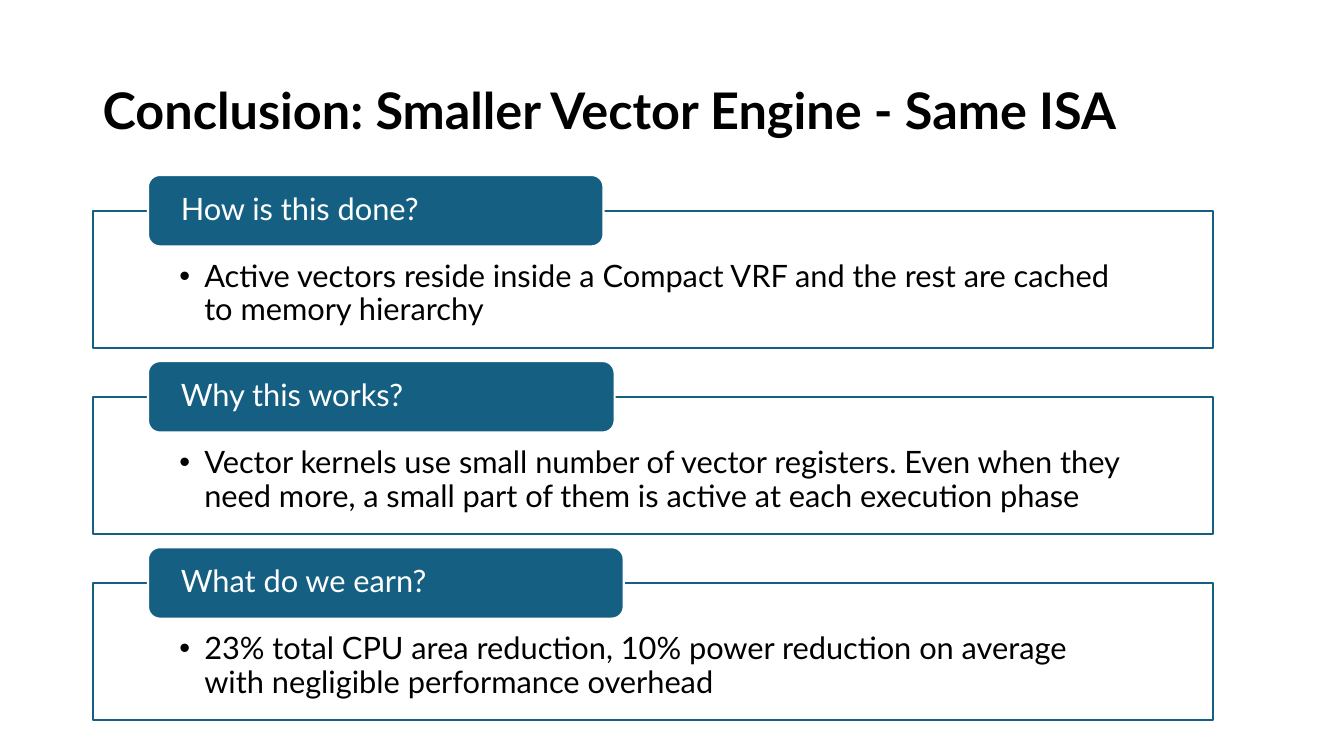
from lxml import etree
from pptx import Presentation
from pptx.dml.color import RGBColor
from pptx.enum.shapes import MSO_SHAPE as Preset
from pptx.enum.text import MSO_ANCHOR as Anchor, PP_ALIGN as Align
from pptx.oxml.ns import qn
from pptx.util import Cm, Pt

TITLE = "Conclusion: Smaller Vector Engine - Same ISA"
# question, answer, width of the question tab in cm
SECTIONS = [
    ("How is this done?",
     "Active vectors reside inside a Compact VRF and the rest are cached to memory hierarchy",
     11.48),
    ("Why this works?",
     "Vector kernels use small number of vector registers. Even when they need more, "
     "a small part of them is active at each execution phase",
     11.76),
    ("What do we earn?",
     "23% total CPU area reduction, 10% power reduction on average "
     "with negligible performance overhead",
     11.99),
]
FONT = "Lato"
TEAL, WHITE, BLACK = "156082", "FFFFFF", "000000"

# Layout in cm
LEFT = 2.34
PANEL_TOP, PANEL_WIDTH, PANEL_HEIGHT, PITCH = 5.31, 28.24, 3.45, 4.69
TAB_LEFT, TAB_HEIGHT, TAB_RISE = 3.73, 1.8, 0.9
BULLET_INDENT = 0.63


def color(hex_value):
    return RGBColor.from_string(hex_value)


def add_bullet(paragraph):
    properties = paragraph._p.get_or_add_pPr()
    properties.set("marL", str(Cm(BULLET_INDENT)))
    properties.set("indent", str(-Cm(BULLET_INDENT)))
    etree.SubElement(properties, qn("a:buFont")).set("typeface", "Arial")
    etree.SubElement(properties, qn("a:buChar")).set("char", "•")


def write(shape, text, size=22, ink=BLACK, bold=False, bullet=False,
          anchor=Anchor.MIDDLE, insets=(0.25, 0.13, 0.25, 0.13)):
    """Fill a shape with one paragraph; insets are left, top, right, bottom in cm."""
    frame = shape.text_frame
    frame.word_wrap = True
    frame.vertical_anchor = anchor
    (frame.margin_left, frame.margin_top,
     frame.margin_right, frame.margin_bottom) = map(Cm, insets)
    paragraph = frame.paragraphs[0]
    paragraph.alignment = Align.LEFT
    paragraph.line_spacing = 0.9
    if bullet:
        add_bullet(paragraph)
    run = paragraph.add_run()
    run.text = text
    run.font.name = FONT
    run.font.size = Pt(size)
    run.font.bold = bold
    run.font.color.rgb = color(ink)


def add_box(slide, preset, bounds, fill, line, opacity=100):
    box = slide.shapes.add_shape(preset, *map(Cm, bounds))
    box.shadow.inherit = False
    box.fill.solid()
    box.fill.fore_color.rgb = color(fill)
    box.line.color.rgb = color(line)
    box.line.width = Pt(1.5)
    if opacity < 100:
        fill_color = box._element.spPr.find(qn("a:solidFill")).find(qn("a:srgbClr"))
        etree.SubElement(fill_color, qn("a:alpha")).set("val", str(opacity * 1000))
    return box


def main():
    deck = Presentation()
    deck.slide_width, deck.slide_height = Cm(33.87), Cm(19.05)
    slide = deck.slides.add_slide(deck.slide_layouts[6])

    heading = slide.shapes.add_textbox(Cm(LEFT), Cm(1.01), Cm(29.21), Cm(3.68))
    write(heading, TITLE, size=36, bold=True)

    for index, (question, answer, tab_width) in enumerate(SECTIONS):
        top = PANEL_TOP + index * PITCH
        panel = add_box(slide, Preset.RECTANGLE,
                        (LEFT, top, PANEL_WIDTH, PANEL_HEIGHT), WHITE, TEAL, opacity=90)
        write(panel, answer, bullet=True, anchor=Anchor.TOP,
              insets=(2.18, 1.27, 2.18, 0.43))
        tab = add_box(slide, Preset.ROUNDED_RECTANGLE,
                      (TAB_LEFT, top - TAB_RISE, tab_width, TAB_HEIGHT), TEAL, WHITE)
        write(tab, question, ink=WHITE, insets=(0.74, 0, 0.74, 0))

    deck.save("out.pptx")


if __name__ == "__main__":
    main()
